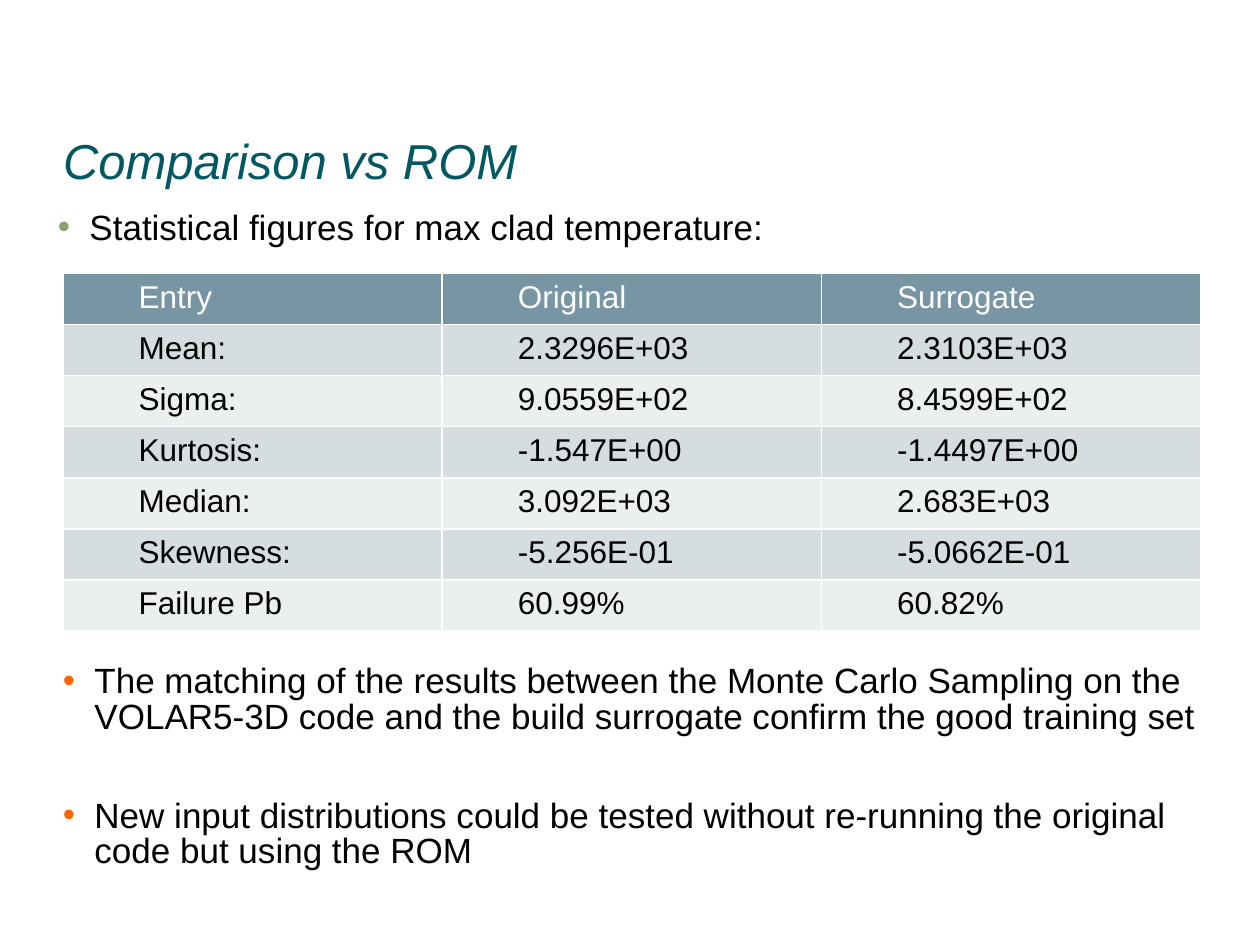
from dataclasses import dataclass

from lxml import etree
from pptx import Presentation
from pptx import util as u
from pptx.dml.color import RGBColor
from pptx.enum import text
from pptx.oxml import ns

FONT = "Arial"
TEAL = RGBColor(0x00, 0x58, 0x63)
BLACK = RGBColor(0x00, 0x00, 0x00)
WHITE = RGBColor(0xFF, 0xFF, 0xFF)
SAGE = RGBColor(0x8B, 0x9E, 0x6C)
ORANGE = RGBColor(0xFF, 0x66, 0x00)
HEADER_FILL = RGBColor(0x78, 0x95, 0xA4)
BAND_FILLS = (RGBColor(0xEC, 0xEF, 0xF0), RGBColor(0xD6, 0xDD, 0xE0))


@dataclass
class Box:
    left: float
    top: float
    width: float
    height: float

    def lengths(self) -> tuple:
        return tuple(u.Inches(v) for v in (self.left, self.top, self.width, self.height))


@dataclass
class Bullet:
    words: str
    color: RGBColor
    space_before: float = 0


ROWS = (
    ("Entry", "Original", "Surrogate"),
    ("Mean:", "2.3296E+03", "2.3103E+03"),
    ("Sigma:", "9.0559E+02", "8.4599E+02"),
    ("Kurtosis:", "-1.547E+00", "-1.4497E+00"),
    ("Median:", "3.092E+03", "2.683E+03"),
    ("Skewness:", "-5.256E-01", "-5.0662E-01"),
    ("Failure Pb", "60.99%", "60.82%"),
)
INTRO = [Bullet("Statistical figures for max clad temperature:", SAGE)]
FINDINGS = [
    Bullet("The matching of the results between the Monte Carlo Sampling on the "
           "VOLAR5-3D code and the build surrogate confirm the good training set", ORANGE),
    Bullet("New input distributions could be tested without re-running the original "
           "code but using the ROM", ORANGE, 36),
]


def place(sp, box: Box) -> None:
    sp.left, sp.top, sp.width, sp.height = box.lengths()
    tf = sp.text_frame
    tf.margin_left = tf.margin_top = tf.margin_right = tf.margin_bottom = 0
    tf.word_wrap = True
    tf.auto_size = text.MSO_AUTO_SIZE.NONE


def style_run(p, size: float, color: RGBColor) -> None:
    font = p.runs[0].font
    font.name, font.size, font.bold = FONT, u.Pt(size), False
    font.color.rgb = color


def set_indent(p, left: float, first: float) -> None:
    pPr = p._p.get_or_add_pPr()
    pPr.set("marL", str(u.Inches(left)))
    pPr.set("indent", str(u.Inches(first)))


def add_bullet_mark(p, color: RGBColor) -> None:
    pPr = p._p.get_or_add_pPr()
    clr = etree.SubElement(pPr, ns.qn("a:buClr"))
    etree.SubElement(clr, ns.qn("a:srgbClr"), val=str(color))
    etree.SubElement(pPr, ns.qn("a:buFont"), typeface=FONT)
    etree.SubElement(pPr, ns.qn("a:buChar"), char="•")


def fill_bullets(tf, bullets: list[Bullet]) -> None:
    tf.text = "\n".join(b.words for b in bullets)
    for p, bullet in zip(tf.paragraphs, bullets):
        set_indent(p, 0.25, -0.25)
        add_bullet_mark(p, bullet.color)
        p.line_spacing = 0.85
        p.space_before = u.Pt(bullet.space_before)
        style_run(p, 20, BLACK)


def add_title(s) -> None:
    sp = s.shapes.title
    place(sp, Box(0.5, 1.1, 9, 0.41))
    sp.text_frame.text = "Comparison vs ROM"
    sp.text_frame.vertical_anchor = text.MSO_ANCHOR.MIDDLE
    p = sp.text_frame.paragraphs[0]
    p.alignment = text.PP_ALIGN.LEFT
    p.line_spacing = 0.85
    style_run(p, 28, TEAL)
    p.runs[0].font.italic = True


def add_statistics(s, box: Box) -> None:
    table = s.shapes.add_table(len(ROWS), len(ROWS[0]), *box.lengths()).table
    for i, row in enumerate(ROWS):
        for j, words in enumerate(row):
            cell = table.cell(i, j)
            cell.fill.solid()
            cell.fill.fore_color.rgb = BAND_FILLS[i % 2] if i else HEADER_FILL
            cell.text_frame.text = words
            p = cell.text_frame.paragraphs[0]
            p.level = 1
            set_indent(p, 0.5, 0)
            style_run(p, 18, BLACK if i else WHITE)


def main() -> None:
    prs = Presentation()
    prs.slide_width, prs.slide_height = u.Inches(10), u.Inches(7.5)
    s = prs.slides.add_slide(prs.slide_layouts[1])
    add_title(s)
    body = s.placeholders[1]
    place(body, Box(0.46, 1.68, 9.21, 5.25))
    fill_bullets(body.text_frame, INTRO)
    add_statistics(s, Box(0.5, 2.17, 9.03, 2.84))
    findings_box = Box(0.5, 5.28, 9.03, 1.89)
    findings = s.shapes.add_textbox(*findings_box.lengths())
    place(findings, findings_box)
    fill_bullets(findings.text_frame, FINDINGS)
    prs.save("out.pptx")


if __name__ == "__main__":
    main()
